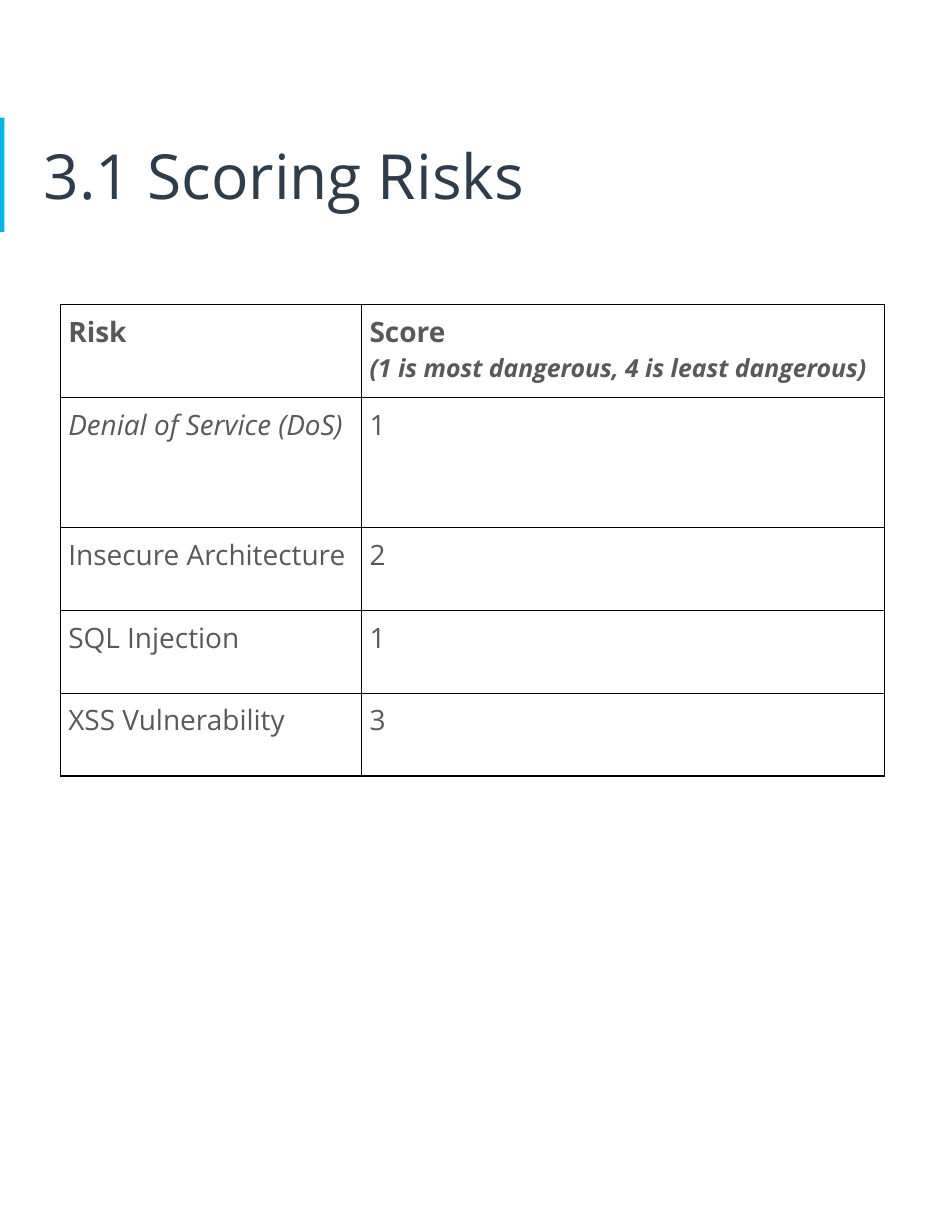
from dataclasses import dataclass

from lxml import etree
from pptx import Presentation
from pptx import util as u
from pptx.dml.color import RGBColor
from pptx.enum import shapes, text
from pptx.oxml import ns

COLORS = {
    "accent": "02B4E5",
    "title": "2E3D49",
    "body": "595959",
    "border": "000000",
    "cell": "FFFFFF",
}
FONT = "Open Sans"
COLUMN_WIDTHS = [2.69, 4.67]
ROW_HEIGHTS = [0.83, 1.16, 0.74, 0.74, 0.74]


@dataclass
class Line:
    wording: str
    size: int = 18
    bold: bool = False
    italic: bool = False


@dataclass
class RiskRow:
    risk: Line
    score: list[Line]


ROWS = [
    RiskRow(
        Line("Risk", bold=True),
        [
            Line("Score", bold=True),
            Line("(1 is most dangerous, 4 is least dangerous)", 16, True, True),
        ],
    ),
    RiskRow(Line("Denial of Service (DoS)", italic=True), [Line("1")]),
    RiskRow(Line("Insecure Architecture"), [Line("2")]),
    RiskRow(Line("SQL Injection"), [Line("1")]),
    RiskRow(Line("XSS Vulnerability"), [Line("3")]),
]


def color(name: str) -> RGBColor:
    return RGBColor.from_string(COLORS[name])


def write_line(paragraph, line: Line, color_name: str) -> None:
    paragraph.text = line.wording
    paragraph.alignment = text.PP_ALIGN.LEFT
    font = paragraph.runs[0].font
    font.name = FONT
    font.size = u.Pt(line.size)
    font.bold = line.bold
    font.italic = line.italic
    font.color.rgb = color(color_name)


def set_margins(target, inches: float) -> None:
    target.margin_left = target.margin_right = u.Inches(inches)
    target.margin_top = target.margin_bottom = u.Inches(inches)


def add_borders(cell) -> None:
    properties = cell._tc.get_or_add_tcPr()
    for side in ("a:lnL", "a:lnR", "a:lnT", "a:lnB"):
        border = etree.SubElement(properties, ns.qn(side), w=str(u.Pt(1)))
        fill = etree.SubElement(border, ns.qn("a:solidFill"))
        etree.SubElement(fill, ns.qn("a:srgbClr"), val=COLORS["border"])


def fill_cell(cell, lines: list[Line]) -> None:
    set_margins(cell, 0.07)
    cell.vertical_anchor = text.MSO_ANCHOR.TOP
    cell.text_frame.text = "\n".join(line.wording for line in lines)
    for paragraph, line in zip(cell.text_frame.paragraphs, lines):
        write_line(paragraph, line, "body")
    add_borders(cell)
    cell.fill.solid()
    cell.fill.fore_color.rgb = color("cell")


def add_accent_bar(slide) -> None:
    bar = slide.shapes.add_shape(
        shapes.MSO_SHAPE.RECTANGLE,
        u.Inches(0), u.Inches(1.05), u.Inches(0.04), u.Inches(1.02),
    )
    bar.shadow.inherit = False
    bar.fill.solid()
    bar.fill.fore_color.rgb = color("accent")
    bar.line.fill.background()


def format_title(slide) -> None:
    title = slide.shapes.title
    title.left, title.top = u.Inches(0.29), u.Inches(0.95)
    title.width, title.height = u.Inches(7.92), u.Inches(1.22)
    frame = title.text_frame
    set_margins(frame, 0.1)
    frame.vertical_anchor = text.MSO_ANCHOR.MIDDLE
    write_line(frame.paragraphs[0], Line("3.1 Scoring Risks", 40), "title")


def add_risk_table(slide) -> None:
    table = slide.shapes.add_table(
        len(ROWS), len(COLUMN_WIDTHS), u.Inches(0.54), u.Inches(2.72),
        u.Inches(sum(COLUMN_WIDTHS)), u.Inches(sum(ROW_HEIGHTS)),
    ).table
    table.first_row = table.horz_banding = False
    for column, width in zip(table.columns, COLUMN_WIDTHS):
        column.width = u.Inches(width)
    for table_row, height, risk_row in zip(table.rows, ROW_HEIGHTS, ROWS):
        table_row.height = u.Inches(height)
        fill_cell(table_row.cells[0], [risk_row.risk])
        fill_cell(table_row.cells[1], risk_row.score)


def main() -> None:
    presentation = Presentation()
    presentation.slide_width = u.Inches(8.5)
    presentation.slide_height = u.Inches(11)
    slide = presentation.slides.add_slide(presentation.slide_layouts[5])
    add_accent_bar(slide)
    format_title(slide)
    add_risk_table(slide)
    presentation.save("out.pptx")


if __name__ == "__main__":
    main()
